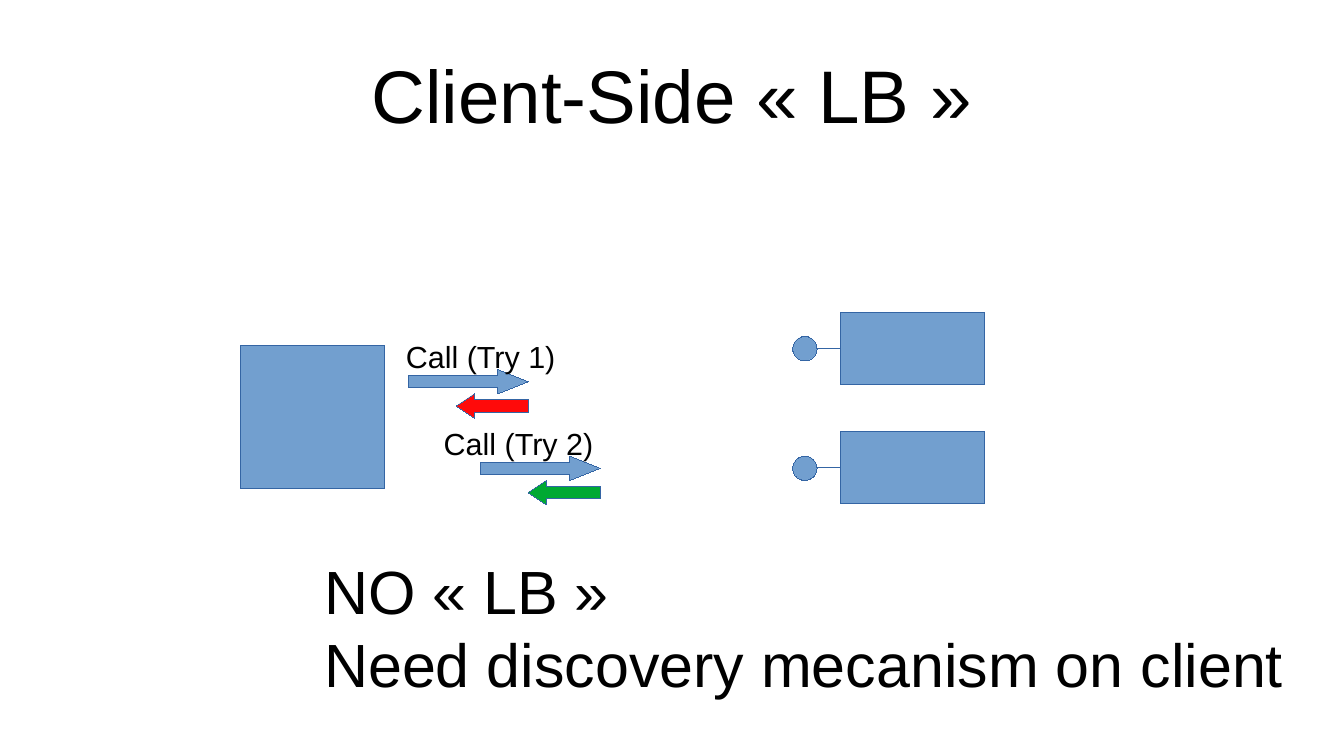
from dataclasses import dataclass
from typing import Any

from lxml.etree import SubElement
from pptx import Presentation
from pptx.dml.color import RGBColor as RGB
from pptx.enum.shapes import MSO_CONNECTOR as Line, MSO_SHAPE as Kind
from pptx.enum.text import MSO_ANCHOR as Anchor, MSO_AUTO_SIZE as Fit, PP_ALIGN as Align
from pptx.oxml.ns import qn
from pptx.util import Inches, Pt


@dataclass(frozen=True)
class Theme:
    blue: str = "729FCF"
    edge: str = "3465A4"
    red: str = "FF0A0A"
    green: str = "00A933"
    ink: str = "000000"
    font: str = "Arial"
    head: int = 44
    body: int = 36
    label: int = 18
    hair: float = 0.01


@dataclass(frozen=True)
class Box:
    x: float
    y: float
    w: float
    h: float

    def place(self) -> tuple:
        return tuple(Inches(v) for v in (self.x, self.y, self.w, self.h))


@dataclass(frozen=True)
class Try:
    text: str
    label: Box
    call: Box
    reply: Box
    tint: str


THEME = Theme()
SIDE = 1.18
DOT = 0.2
CLIENT = Box(1.97, 2.83, SIDE, SIDE)
SERVERS = [Box(6.89, y, SIDE, SIDE / 2) for y in (2.56, 3.54)]
TRIES = [
    Try("Call (Try 1)", Box(3.23, 2.72, 1.46, 0.38), Box(3.35, 3.03, 0.98, DOT),
        Box(3.74, 3.23, 0.59, DOT), THEME.red),
    Try("Call (Try 2)", Box(3.54, 3.44, 1.46, 0.38), Box(3.94, 3.74, 0.98, DOT),
        Box(4.33, 3.94, 0.59, DOT), THEME.green),
]
NOTES = ["NO « LB »", "Need discovery mecanism on client"]


def apply(item: Any, style: dict) -> None:
    for name, value in style.items():
        setattr(item, name, value)


def write(frame: Any, lines: list[str], size: int, align: Align) -> None:
    frame.text = "\n".join(lines)
    for para in frame.paragraphs:
        para.alignment = align
        for run in para.runs:
            apply(run.font, {"name": THEME.font, "size": Pt(size)})
            run.font.color.rgb = RGB.from_string(THEME.ink)


def stroke(line: Any) -> None:
    line.color.rgb = RGB.from_string(THEME.edge)
    line.width = Pt(THEME.hair)


def draw(slide: Any, kind: Kind, box: Box, tint: str = THEME.blue) -> Any:
    shape = slide.shapes.add_shape(kind, *box.place())
    shape.shadow.inherit = False
    shape.fill.solid()
    shape.fill.fore_color.rgb = RGB.from_string(tint)
    stroke(shape.line)
    return shape


def arrow(slide: Any, kind: Kind, box: Box, tip: float, tint: str = THEME.blue) -> None:
    shape = draw(slide, kind, box, tint)
    shape.adjustments[0] = 0.5
    shape.adjustments[1] = tip


def note(slide: Any, box: Box, lines: list[str], size: int) -> None:
    frame = slide.shapes.add_textbox(*box.place()).text_frame
    apply(frame, {"word_wrap": False, "auto_size": Fit.SHAPE_TO_FIT_TEXT})
    write(frame, lines, size, Align.LEFT)


def server(slide: Any, box: Box) -> None:
    rect = draw(slide, Kind.RECTANGLE, box)
    dot = draw(slide, Kind.OVAL, Box(6.5, box.y + 0.2, DOT, DOT))
    link = slide.shapes.add_connector(Line.STRAIGHT, 0, 0, 0, 0)
    mid = rect.top + rect.height // 2
    apply(link, {"begin_x": dot.left + dot.width, "begin_y": mid})
    link.end_connect(rect, 1)
    stroke(link.line)
    SubElement(link._element.spPr, qn("a:effectLst"))


def attempt(slide: Any, item: Try) -> None:
    arrow(slide, Kind.RIGHT_ARROW, item.call, 1.25)
    note(slide, item.label, [item.text], THEME.label)
    arrow(slide, Kind.LEFT_ARROW, item.reply, 0.75, item.tint)


def title(slide: Any, text: str) -> None:
    head = slide.shapes.title
    apply(head, dict(zip(("left", "top", "width", "height"),
                         Box(0.55, 0.25, 9.92, 1.04).place())))
    frame = head.text_frame
    apply(frame, {"margin_left": 0, "margin_top": 0, "margin_right": 0, "margin_bottom": 0,
                  "vertical_anchor": Anchor.MIDDLE, "word_wrap": True})
    write(frame, [text], THEME.head, Align.CENTER)


def main() -> None:
    deck = Presentation()
    apply(deck, {"slide_width": Inches(11.02), "slide_height": Inches(6.2)})
    slide = deck.slides.add_slide(deck.slide_layouts[5])
    title(slide, "Client-Side « LB »")
    draw(slide, Kind.RECTANGLE, CLIENT)
    note(slide, Box(2.56, 4.49, 8.07, 1.22), NOTES, THEME.body)
    for box in SERVERS:
        server(slide, box)
    for item in TRIES:
        attempt(slide, item)
    deck.save("out.pptx")


if __name__ == "__main__":
    main()
